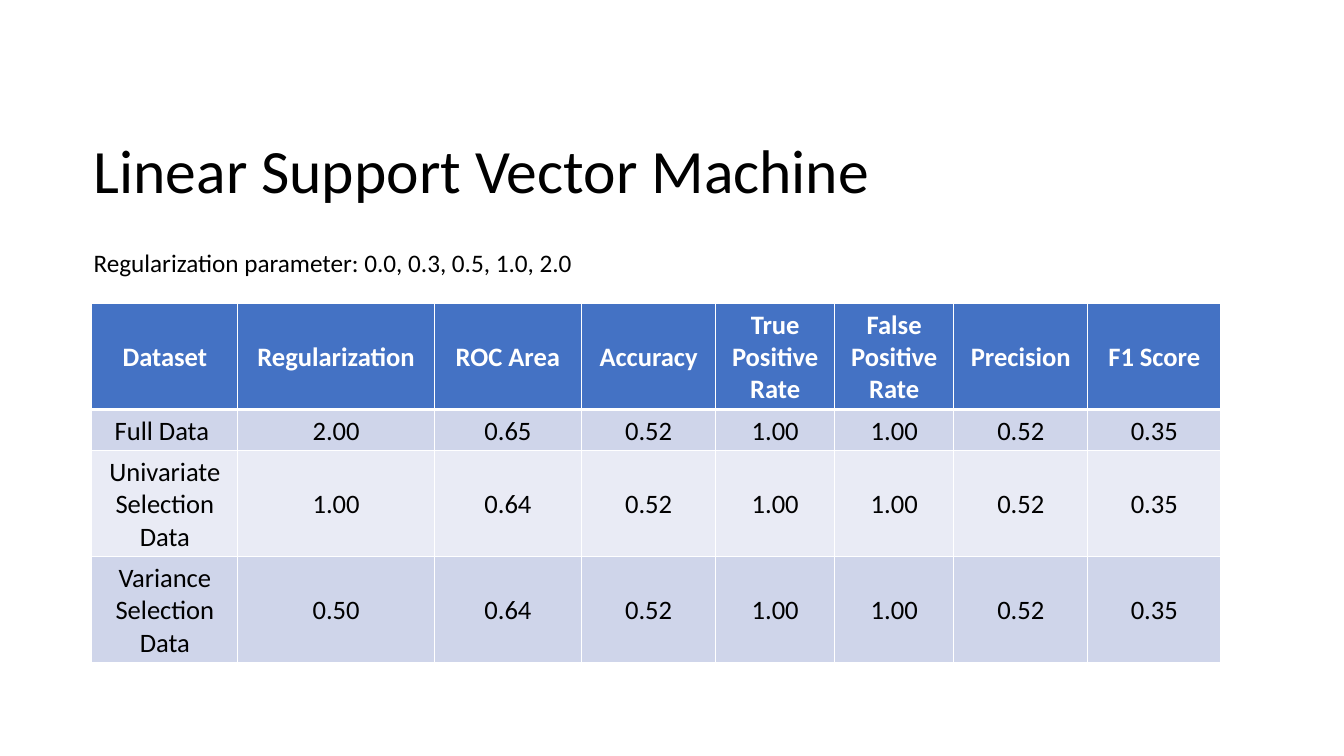
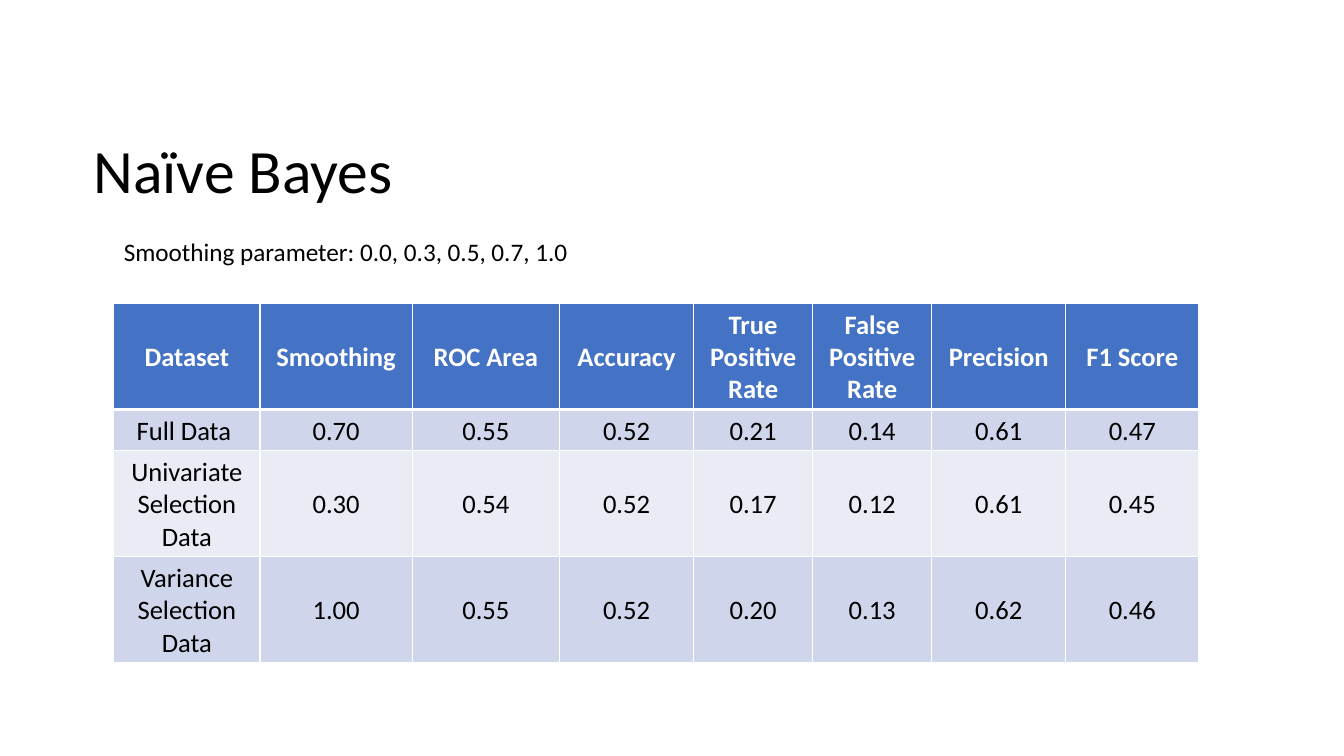
from dataclasses import dataclass

from lxml import etree
from pptx import Presentation
from pptx import util as u
from pptx.dml import color
from pptx.enum import text as t
from pptx.oxml import ns


# Theme: colours, type sizes (points) and line widths (points)
@dataclass(frozen=True)
class Theme:
    font: str = "Calibri"
    ink: str = "000000"
    white: str = "FFFFFF"
    head: str = "4472C4"
    bands: tuple[str, str] = ("CFD5EA", "E9EBF5")
    title: int = 44
    note: int = 18
    cell: int = 19
    thin: int = 1
    thick: int = 3


THEME = Theme()

# Shared geometry in centimetres
WIDTH, HEIGHT = 33.87, 19.05
MID, TOP = 16.54, 7.65
ROWS = (2.67, 1.04, 2.67, 2.67)
FIRST, REST = 3.68, (3.71, 3.38, 3.0, 3.0, 3.38, 3.35)
INSET = 0.05

# Shared table labels
SCORES = ("ROC Area", "Accuracy", "True Positive Rate",
          "False Positive Rate", "Precision", "F1 Score")
SETS = ("Full Data ", "Univariate Selection Data", "Variance Selection Data")


@dataclass(frozen=True)
class Box:
    left: float
    top: float
    width: float
    height: float

    def emu(self) -> tuple[u.Cm, ...]:
        return tuple(u.Cm(n) for n in (self.left, self.top, self.width, self.height))


@dataclass(frozen=True)
class Model:
    title: str
    note: str
    place: Box
    param: str
    width: float
    data: tuple[str, ...]


TITLE = Box(2.11, 2.39, 26.64, 3.99)

MODELS = (
    Model("Linear Support Vector Machine",
          "Regularization parameter: 0.0, 0.3, 0.5, 1.0, 2.0",
          Box(2.11, 6.1, 12.7, 1.02), "Regularization", 4.95,
          ("2.00 0.65 0.52 1.00 1.00 0.52 0.35",
           "1.00 0.64 0.52 1.00 1.00 0.52 0.35",
           "0.50 0.64 0.52 1.00 1.00 0.52 0.35")),
    Model("Naïve Bayes",
          "Smoothing parameter: 0.0, 0.3, 0.5, 0.7, 1.0",
          Box(2.87, 5.84, 11.84, 1.8), "Smoothing", 3.84,
          ("0.70 0.55 0.52 0.21 0.14 0.61 0.47",
           "0.30 0.54 0.52 0.17 0.12 0.61 0.45",
           "1.00 0.55 0.52 0.20 0.13 0.62 0.46")),
)


# Text
def add_run(para, words: str, size: int, ink: str = THEME.ink,
            bold: bool = False) -> None:
    run = para.add_run()
    run.text = words
    font = run.font
    font.name, font.size, font.bold = THEME.font, u.Pt(size), bold
    font.color.rgb = color.RGBColor.from_string(ink)


def add_title(slide, words: str) -> None:
    frame = slide.shapes.add_textbox(*TITLE.emu()).text_frame
    frame.word_wrap = True
    frame.vertical_anchor = t.MSO_ANCHOR.MIDDLE
    para = frame.paragraphs[0]
    para.line_spacing = 0.9
    add_run(para, words, THEME.title)


def add_note(slide, words: str, place: Box) -> None:
    frame = slide.shapes.add_textbox(*place.emu()).text_frame
    frame.word_wrap = False
    frame.auto_size = t.MSO_AUTO_SIZE.SHAPE_TO_FIT_TEXT
    add_run(frame.paragraphs[0], words, THEME.note)


# Table
def set_edges(cell, top: int, base: int) -> None:
    """Draw white borders; they must come before the fill in the cell."""
    props = cell._tc.get_or_add_tcPr()
    edges = {"L": THEME.thin, "R": THEME.thin, "T": top, "B": base}
    for spot, (side, width) in enumerate(edges.items()):
        line = etree.Element(ns.qn(f"a:ln{side}"), w=str(u.Pt(width)))
        fill = etree.SubElement(line, ns.qn("a:solidFill"))
        etree.SubElement(fill, ns.qn("a:srgbClr"), val=THEME.white)
        props.insert(spot, line)


def fill_cell(cell, words: str, row: int) -> None:
    head = row == 0
    cell.margin_left = cell.margin_right = cell.margin_top = u.Cm(INSET)
    cell.margin_bottom = 0
    cell.vertical_anchor = t.MSO_ANCHOR.MIDDLE
    cell.fill.solid()
    shade = THEME.head if head else THEME.bands[(row - 1) % 2]
    cell.fill.fore_color.rgb = color.RGBColor.from_string(shade)
    set_edges(cell, THEME.thick if row == 1 else THEME.thin,
              THEME.thick if head else THEME.thin)
    para = cell.text_frame.paragraphs[0]
    para.alignment = t.PP_ALIGN.CENTER
    add_run(para, words, THEME.cell, THEME.white if head else THEME.ink, head)


def add_grid(slide, model: Model) -> None:
    cols = (FIRST, model.width, *REST)
    lines = [("Dataset", model.param, *SCORES)]
    lines += [(name, *nums.split()) for name, nums in zip(SETS, model.data)]
    wide = sum(cols)
    place = Box(MID - wide / 2, TOP, wide, sum(ROWS))
    grid = slide.shapes.add_table(len(ROWS), len(cols), *place.emu()).table
    grid.horz_banding = False
    for col, width in zip(grid.columns, cols):
        col.width = u.Cm(width)
    for row, height in zip(grid.rows, ROWS):
        row.height = u.Cm(height)
    for r, line in enumerate(lines):
        for c, words in enumerate(line):
            fill_cell(grid.cell(r, c), words, r)


# Deck
def main() -> None:
    deck = Presentation()
    deck.slide_width, deck.slide_height = u.Cm(WIDTH), u.Cm(HEIGHT)
    for model in MODELS:
        slide = deck.slides.add_slide(deck.slide_layouts[6])
        add_title(slide, model.title)
        add_grid(slide, model)
        add_note(slide, model.note, model.place)
    deck.save("out.pptx")


if __name__ == "__main__":
    main()
